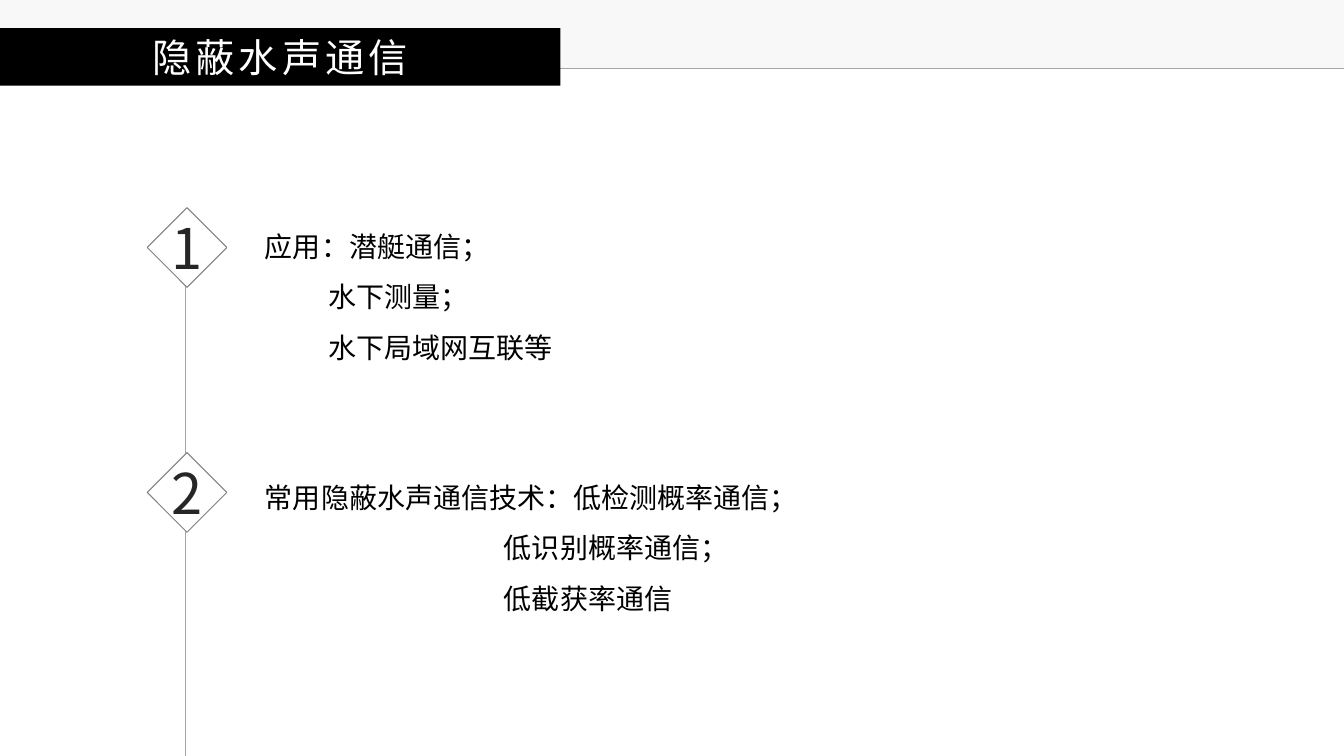
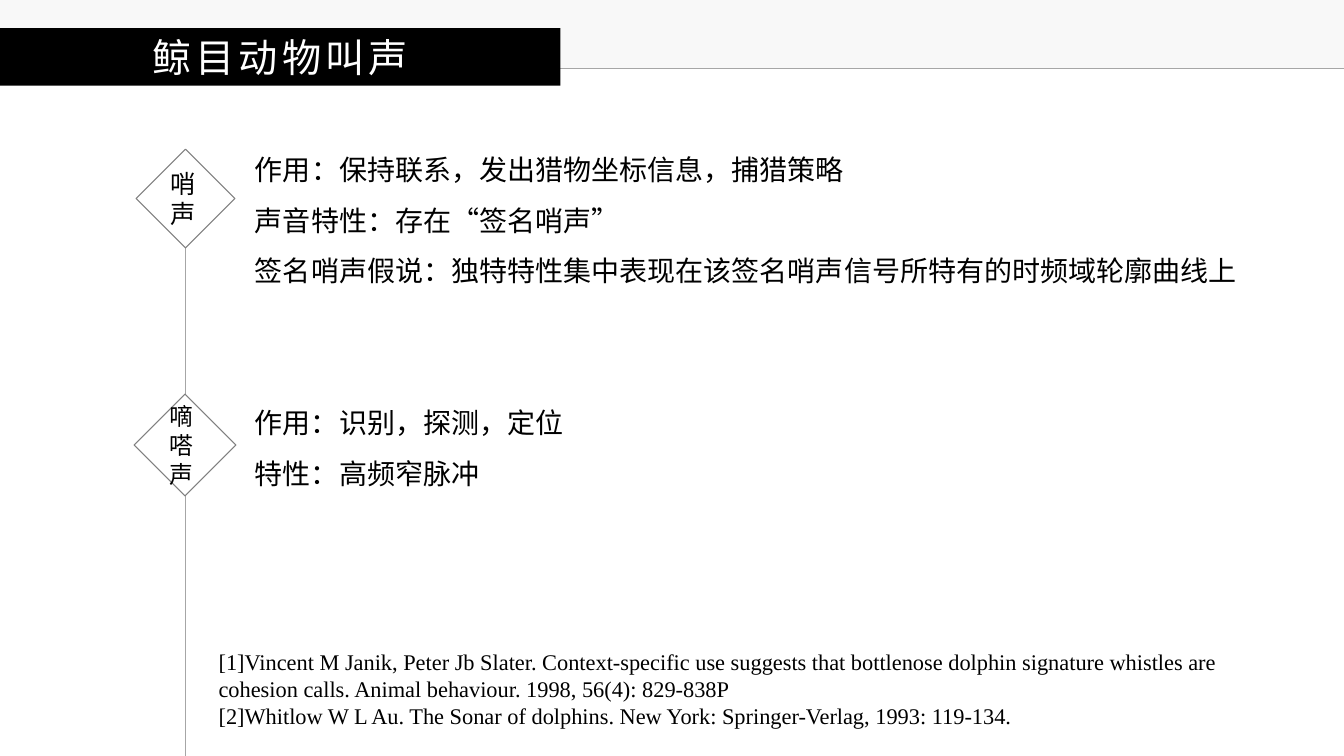
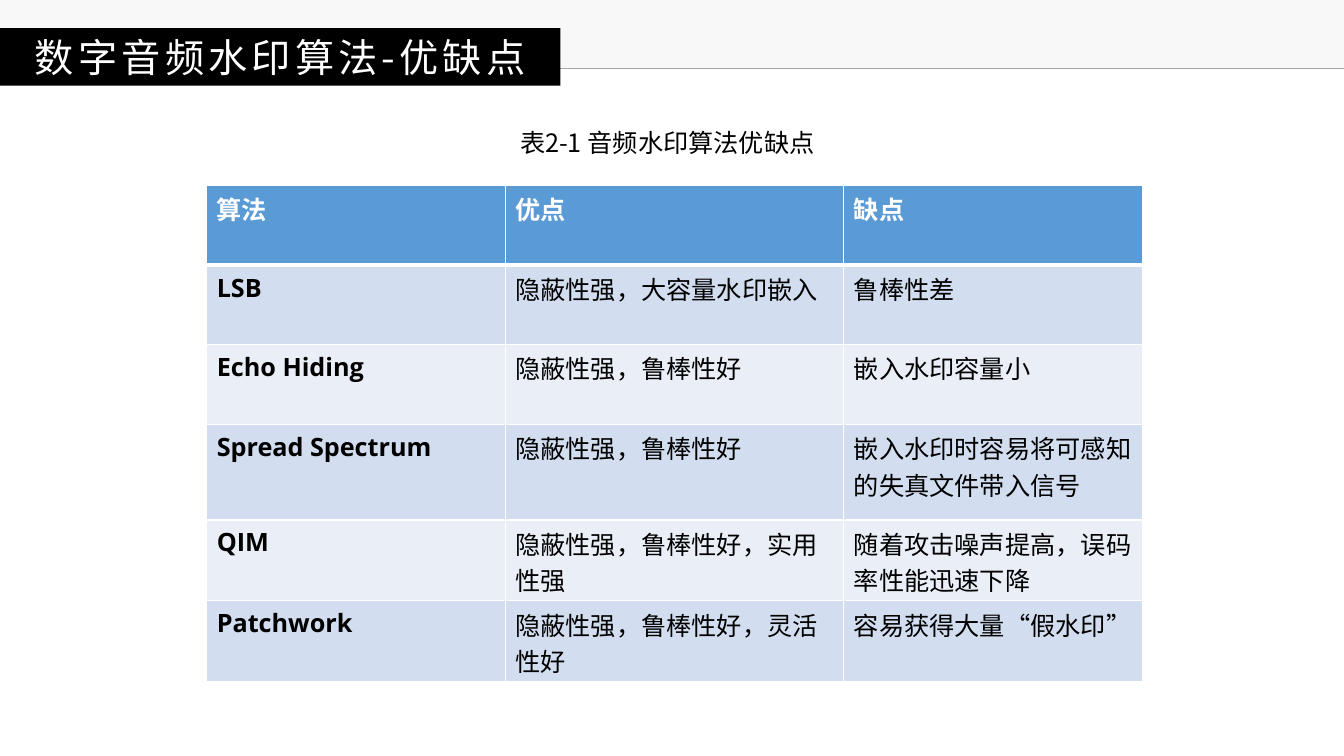
from lxml.etree import SubElement
from pptx import Presentation
from pptx.dml.color import RGBColor
from pptx.enum.shapes import MSO_CONNECTOR as Connector, MSO_SHAPE as Shape
from pptx.enum.text import MSO_ANCHOR as Anchor, PP_ALIGN as Align
from pptx.oxml.ns import qn
from pptx.util import Inches, Pt

BLACK = RGBColor(0x00, 0x00, 0x00)
WHITE = RGBColor(0xFF, 0xFF, 0xFF)
INK = RGBColor(0x26, 0x26, 0x26)
BAND = RGBColor(0xF2, 0xF2, 0xF2)
RULE = RGBColor(0xA6, 0xA6, 0xA6)
EDGE = RGBColor(0x80, 0x80, 0x80)
HEAD = RGBColor(0x5B, 0x9B, 0xD5)
DARK_ROW = RGBColor(0xD2, 0xDE, 0xEF)
LIGHT_ROW = RGBColor(0xEA, 0xEF, 0xF7)

CJK, SANS, SERIF = "Noto Sans CJK SC", "Open Sans", "Times New Roman"
WIDTH, HEIGHT = 13.33, 7.5
SPINE_X = 1.84


# Shared helpers
def style(para, size, color=BLACK, face=CJK, bold=False, tracking=0):
    font = para.font
    font.size, font.bold, font.name = Pt(size), bold, face
    font.color.rgb = color
    props = para._p.pPr.find(qn("a:defRPr"))
    SubElement(props, qn("a:ea")).set("typeface", CJK)
    if tracking:
        props.set("spc", str(tracking * 100))


def add_text(shapes, box, lines, size, color=BLACK, face=CJK,
             spacing=None, indent=0, anchor=Anchor.TOP):
    """Place lines in a box; every line after the first is indented."""
    frame = shapes.add_textbox(*map(Inches, box)).text_frame
    frame.word_wrap = True
    frame.vertical_anchor = anchor
    for index, line in enumerate(lines):
        para = frame.add_paragraph() if index else frame.paragraphs[0]
        para.text = line
        if index and indent:
            props = para._p.get_or_add_pPr()
            props.set("marL", str(Inches(indent)))
            props.set("indent", "0")
        if spacing:
            para.line_spacing = spacing
        style(para, size, color, face)


def add_block(shapes, kind, box, fill, edge=None):
    block = shapes.add_shape(kind, *map(Inches, box))
    block.shadow.inherit = False
    block.fill.solid()
    block.fill.fore_color.rgb = fill
    if edge is None:
        block.line.fill.background()
    else:
        block.line.color.rgb = edge
        block.line.width = Pt(0.75)
    return block


def add_rule(page, *ends):
    rule = page.shapes.add_connector(Connector.STRAIGHT, *map(Inches, ends))
    rule.line.color.rgb = RULE
    rule.line.width = Pt(0.5)
    SubElement(rule._element.spPr, qn("a:effectLst"))


def add_page(deck, title):
    """A page with the pale band, the rule and the black title bar."""
    page = deck.slides.add_slide(deck.slide_layouts[6])
    band = add_block(page.shapes, Shape.RECTANGLE, (0, 0, WIDTH, 0.68), BAND)
    color = band.fill._xPr.find(qn("a:solidFill"))[0]
    SubElement(color, qn("a:alpha")).set("val", "50000")
    add_rule(page, 0, 0.68, WIDTH, 0.68)

    bar = add_block(page.shapes, Shape.RECTANGLE, (0, 0.28, 5.56, 0.57), BLACK)
    para = bar.text_frame.paragraphs[0]
    para.text = title
    para.alignment = Align.CENTER
    style(para, 28, WHITE, tracking=3)
    return page


# Timeline parts
def add_badge(page, left, top, side, label, size, color):
    """A diamond with a narrow label that stacks its characters."""
    shapes = page.shapes.add_group_shape().shapes
    add_block(shapes, Shape.DIAMOND, (left, top, side, side), WHITE, EDGE)
    label_left = left + side / 2 - 0.25
    add_text(shapes, (label_left, top, 0.54, side), [label], size, color,
             anchor=Anchor.MIDDLE)


def add_timeline(deck, title, entries):
    page = add_page(deck, title)
    add_rule(page, SPINE_X, 2.24, SPINE_X, HEIGHT)
    for badge, box, lines, indent in entries:
        add_badge(page, *badge)
        add_text(page.shapes, box, lines, 20, spacing=1.5, indent=indent)
    return page


# Table parts
def add_borders(cell, top, bottom):
    props = cell._tc.get_or_add_tcPr()
    for side, width in (("L", 1), ("R", 1), ("T", top), ("B", bottom)):
        line = SubElement(props, qn(f"a:ln{side}"), w=str(Pt(width)))
        fill = SubElement(line, qn("a:solidFill"))
        SubElement(fill, qn("a:srgbClr"), val=str(WHITE))


def add_grid(page, left, top, widths, heights, rows):
    frame = page.shapes.add_table(
        len(rows), len(widths), Inches(left), Inches(top),
        Inches(sum(widths)), Inches(sum(heights)))
    table = frame.table
    for column, width in zip(table.columns, widths):
        column.width = Inches(width)
    for r, (height, texts) in enumerate(zip(heights, rows)):
        table.rows[r].height = Inches(height)
        fill = HEAD if r == 0 else DARK_ROW if r % 2 else LIGHT_ROW
        for c, text in enumerate(texts):
            cell = table.cell(r, c)
            add_borders(cell, 3 if r == 1 else 1, 3 if r == 0 else 1)
            cell.fill.solid()
            cell.fill.fore_color.rgb = fill
            para = cell.text_frame.paragraphs[0]
            para.text = text
            style(para, 18, BLACK if r else WHITE, SANS, bold=r == 0 or c == 0)


# Slides
def build_covert_slide(deck):
    add_timeline(deck, "隐蔽水声通信", [
        ((1.46, 2.06, 0.79, "1", 40, INK), (2.53, 2.06, 3.97, 1.61),
         ["应用：潜艇通信；", "水下测量；", "水下局域网互联等"], 0.63),
        ((1.46, 4.49, 0.79, "2", 40, INK), (2.53, 4.55, 6.7, 1.61),
         ["常用隐蔽水声通信技术：低检测概率通信；",
          "低识别概率通信；", "低截获率通信"], 2.37),
    ])


def build_whale_slide(deck):
    page = add_timeline(deck, "鲸目动物叫声", [
        ((1.35, 1.48, 0.98, "哨声", 18, BLACK), (2.43, 1.3, 9.99, 1.61),
         ["作用：保持联系，发出猎物坐标信息，捕猎策略",
          "声音特性：存在“签名哨声”",
          "签名哨声假说：独特特性集中表现在该签名哨声信号所特有的时频域轮廓曲线上"], 0),
        ((1.33, 3.91, 1.01, "嘀嗒声", 17, BLACK), (2.43, 3.81, 6.7, 1.11),
         ["作用：识别，探测，定位", "特性：高频窄脉冲"], 0),
    ])
    add_text(page.shapes, (2.07, 6.38, 10.6, 1), [
        "[1]Vincent M Janik, Peter Jb Slater. Context-specific use suggests "
        "that bottlenose dolphin signature whistles are cohesion calls. "
        "Animal behaviour. 1998, 56(4): 829-838P",
        "[2]Whitlow W L Au. The Sonar of dolphins. New York: "
        "Springer-Verlag, 1993: 119-134.",
    ], 16, face=SERIF)


def build_watermark_slide(deck):
    page = add_page(deck, "数字音频水印算法-优缺点")
    add_text(page.shapes, (5.06, 1.21, 3.25, 0.4),
             ["表2-1 音频水印算法优缺点"], 18)
    add_grid(page, 2.05, 1.84, [2.96, 3.36, 2.96],
             [0.79, 0.79, 0.79, 0.95, 0.8, 0.8], [
        ("算法", "优点", "缺点"),
        ("LSB", "隐蔽性强，大容量水印嵌入", "鲁棒性差"),
        ("Echo Hiding", "隐蔽性强，鲁棒性好", "嵌入水印容量小"),
        ("Spread Spectrum", "隐蔽性强，鲁棒性好",
         "嵌入水印时容易将可感知的失真文件带入信号"),
        ("QIM", "隐蔽性强，鲁棒性好，实用性强",
         "随着攻击噪声提高，误码率性能迅速下降"),
        ("Patchwork", "隐蔽性强，鲁棒性好，灵活性好", "容易获得大量“假水印”"),
    ])


def main():
    deck = Presentation()
    deck.slide_width, deck.slide_height = Inches(WIDTH), Inches(HEIGHT)
    build_covert_slide(deck)
    build_whale_slide(deck)
    build_watermark_slide(deck)
    deck.save("out.pptx")


if __name__ == "__main__":
    main()
